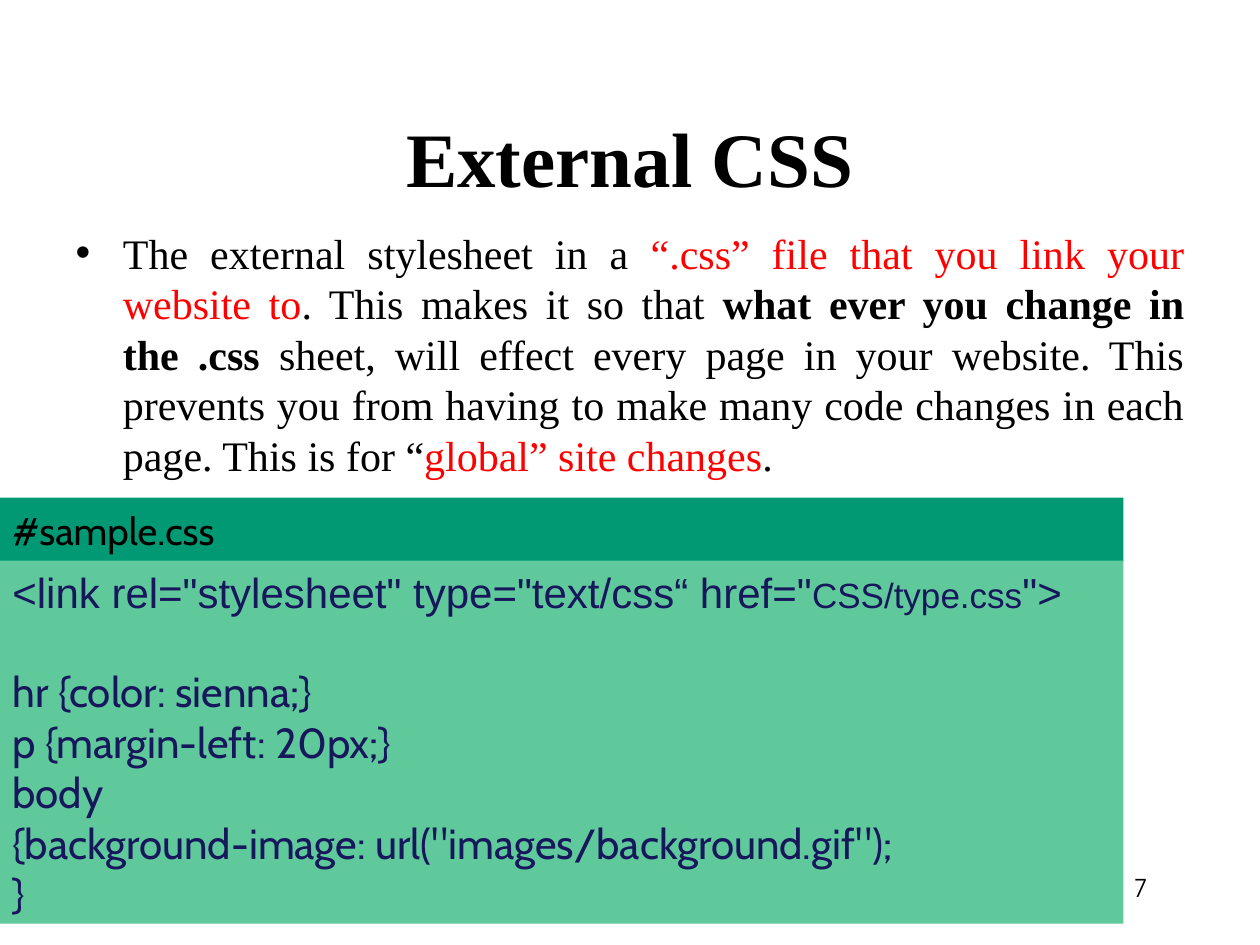
from pptx import Presentation
from pptx.dml.color import RGBColor
from pptx.enum.shapes import MSO_SHAPE
from pptx.enum.text import MSO_ANCHOR, PP_ALIGN
from pptx.util import Pt

COLORS = {"black": "000000", "red": "FF0000", "navy": "17175C",
          "dark": "009973", "light": "60C99C"}


def style(font, name, size, color):
    font.name, font.size = name, Pt(size)
    font.color.rgb = RGBColor.from_string(COLORS[color])


def add_panel(top, height, fill):
    """Add a borderless code panel and return its text frame."""
    panel = slide.shapes.add_shape(MSO_SHAPE.RECTANGLE, 0, Pt(top), Pt(642), Pt(height))
    panel.shadow.inherit = False
    panel.fill.solid()
    panel.fill.fore_color.rgb = RGBColor.from_string(COLORS[fill])
    panel.line.fill.background()
    frame = panel.text_frame
    frame.word_wrap = True
    frame.vertical_anchor = MSO_ANCHOR.MIDDLE
    return frame


deck = Presentation()
deck.slide_width, deck.slide_height = Pt(720), Pt(540)
slide = deck.slides.add_slide(deck.slide_layouts[1])
title, body = slide.placeholders

# Title
title.left, title.top, title.width, title.height = Pt(36), Pt(54), Pt(648), Pt(90)
frame = title.text_frame
frame.vertical_anchor = MSO_ANCHOR.TOP
frame.margin_top = Pt(9)
head = frame.paragraphs[0]
head.text = "External CSS"
head.alignment = PP_ALIGN.CENTER
style(head.font, "Times New Roman", 44, "black")
head.font.bold = True

# Bulleted explanation
body.left, body.top, body.width, body.height = Pt(36), Pt(126), Pt(648), Pt(356)
para = body.text_frame.paragraphs[0]
para.alignment = PP_ALIGN.JUSTIFY
para.line_spacing = Pt(28.9)
for text, color, bold in [
    ("The external stylesheet in a ", "black", False),
    ("“.css” file that you link your website to", "red", False),
    (". This makes it so that ", "black", False),
    ("what ever you change in the .css", "black", True),
    (" sheet, will effect every page in your website. This prevents you from "
     "having to make many code changes in each page. This is for “", "black", False),
    ("global” site changes", "red", False),
    (".", "black", False),
]:
    run = para.add_run()
    run.text = text
    style(run.font, "Times New Roman", 24, color)
    run.font.bold = bold

# Code sample
label = add_panel(284.4, 36.6, "dark").paragraphs[0]
label.text = "#sample.css"
label.alignment = PP_ALIGN.LEFT
style(label.font, "Cabin", 22, "black")

code = add_panel(320.4, 207.4, "light")
link = code.paragraphs[0]
link.alignment = PP_ALIGN.LEFT
for text, size in [('<link rel="stylesheet" type="text/css“ href="', 24),
                   ("CSS/type.css", 20), ('">', 24)]:
    run = link.add_run()
    run.text = text
    style(run.font, "Arial", size, "navy")

rules = ["hr {color: sienna;}\vp {margin-left: 20px;}\vbody",
         '{background-image: url("images/background.gif");', "}"]
for index, text in enumerate(rules):
    para = code.add_paragraph()
    para.text = text
    para.alignment = PP_ALIGN.LEFT
    para.space_before = Pt(0 if index else 28)
    style(para.font, "Cabin", 24, "navy")

# Page number
box = slide.shapes.add_textbox(Pt(640.8), Pt(486.7), Pt(39.6), Pt(43.9))
frame = box.text_frame
frame.word_wrap = True
frame.vertical_anchor = MSO_ANCHOR.TOP
page = frame.paragraphs[0]
page.text = "7"
page.line_spacing = 1.5
style(page.font, "TeX Gyre Adventor", 14, "black")

deck.save("out.pptx")
